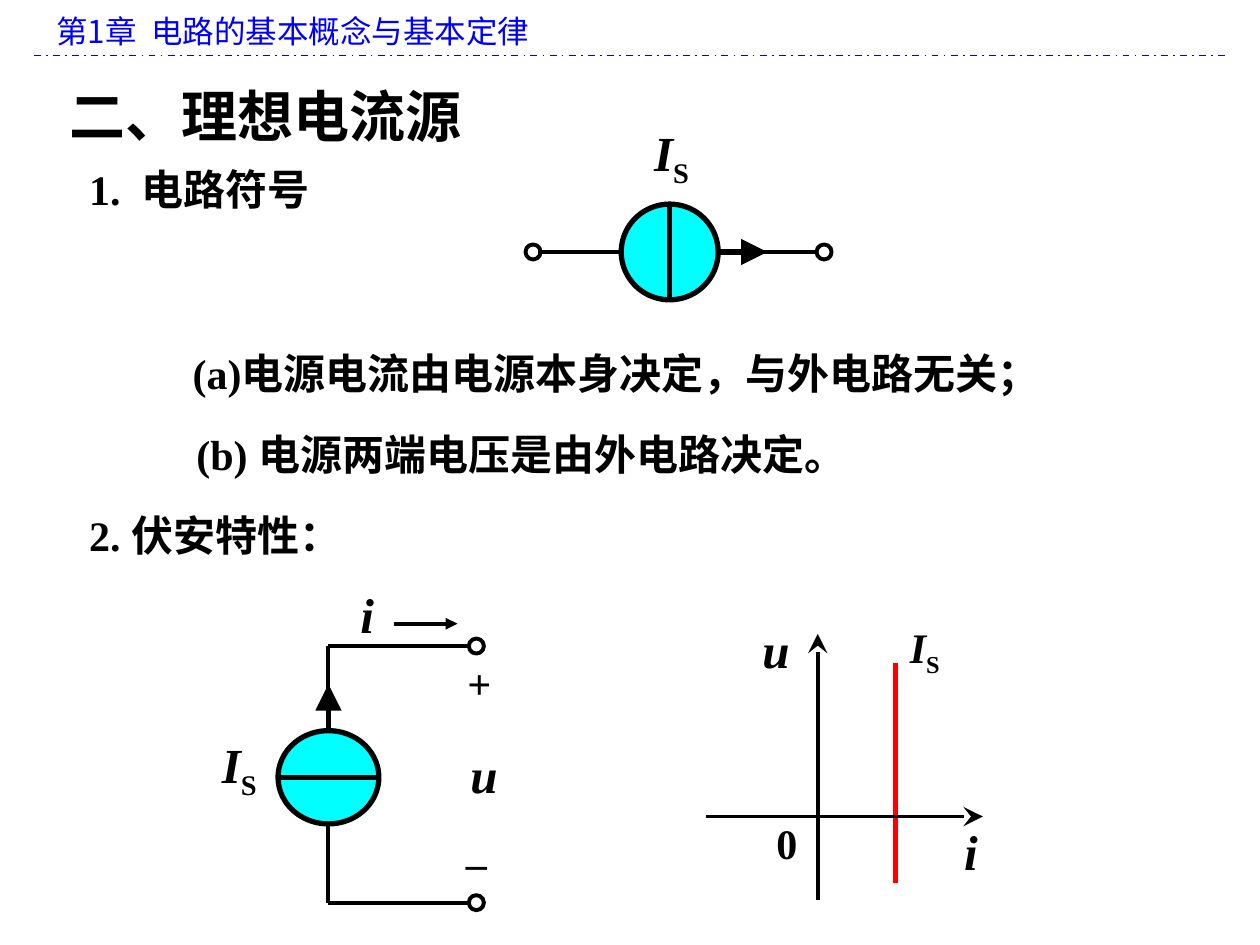
from dataclasses import dataclass

from lxml import etree
from pptx import Presentation, util as u
from pptx.dml.color import RGBColor
from pptx.enum import dml, shapes, text
from pptx.oxml.ns import qn


@dataclass(frozen=True)
class Theme:
    """Colours, fonts and type sizes of the slide."""
    ink: str = "000000"
    blue: str = "0000FF"
    red: str = "FF0000"
    cyan: str = "00FFFF"
    serif: str = "Times New Roman"
    sans: str = "Noto Sans CJK SC"
    header: int = 18
    body: int = 24
    symbol: int = 28
    title: int = 32
    thin: float = 2.25
    thick: float = 3


T = Theme()


@dataclass
class Label:
    """A text box; sub is a subscript that follows the words."""
    words: str
    box: tuple
    size: int = T.body
    sub: str = ""
    italic: bool = False
    bold: bool = True
    wrap: bool = False
    align: text.PP_ALIGN = text.PP_ALIGN.CENTER
    anchor: text.MSO_ANCHOR = text.MSO_ANCHOR.MIDDLE
    color: str = T.ink
    font: str = T.serif
    rotation: int = 0


@dataclass
class Wire:
    """A straight line; arrow is (type, size) at its end."""
    start: tuple
    end: tuple
    width: float = T.thin
    color: str = T.ink
    arrow: tuple = ()
    dash: dml.MSO_LINE = None


@dataclass
class Circle:
    """An ellipse given by its centre and size."""
    center: tuple
    size: tuple = (8.6, 8.6)
    width: float = T.thin
    fill: str = ""


def set_attrs(obj, **values) -> None:
    """Set each value as an attribute of the object."""
    for name, value in values.items():
        setattr(obj, name, value)


def add_run(p, words: str, label: Label, **more) -> None:
    """Add a run in the label's format."""
    r = p.add_run()
    r.text = words
    fmt = dict(name=label.font, size=u.Pt(label.size), bold=label.bold,
               italic=label.italic)
    set_attrs(r.font, **{**fmt, **more})
    r.font.color.rgb = RGBColor.from_string(label.color)
    etree.SubElement(r.font._element, qn("a:ea"), typeface=T.sans)


def write_label(sp, label: Label) -> None:
    """Place a text shape and fill it with the label."""
    left, top, width, height = map(u.Pt, label.box)
    set_attrs(sp, left=left, top=top, width=width, height=height,
              rotation=label.rotation)
    tf = sp.text_frame
    set_attrs(tf, word_wrap=label.wrap, vertical_anchor=label.anchor,
              auto_size=text.MSO_AUTO_SIZE.SHAPE_TO_FIT_TEXT)
    p = tf.paragraphs[0]
    set_attrs(p, alignment=label.align, line_spacing=1.0, space_before=u.Pt(0))
    add_run(p, label.words, label)
    if label.sub:
        add_run(p, label.sub, label, italic=False)
        p.runs[-1].font._element.set("baseline", "-25000")


def draw_wire(tree, wire: Wire) -> None:
    """Draw a line with an optional arrowhead."""
    s = tree.add_connector(shapes.MSO_CONNECTOR.STRAIGHT,
                           *map(u.Pt, wire.start + wire.end))
    s.line.width = u.Pt(wire.width)
    s.line.color.rgb = RGBColor.from_string(wire.color)
    if wire.dash:
        s.line.dash_style = wire.dash
    if wire.arrow:
        kind, size = wire.arrow
        etree.SubElement(s.line._get_or_add_ln(), qn("a:tailEnd"),
                         type=kind, w=size, len=size)
    etree.SubElement(s._element.spPr, qn("a:effectLst"))


def draw_circle(tree, circle: Circle) -> None:
    """Draw a terminal or a source body."""
    (x, y), (w, h) = circle.center, circle.size
    sp = tree.add_shape(shapes.MSO_SHAPE.OVAL,
                        *map(u.Pt, (x - w / 2, y - h / 2, w, h)))
    sp.shadow.inherit = False
    sp.line.width = u.Pt(circle.width)
    sp.line.color.rgb = RGBColor.from_string(T.ink)
    if circle.fill:
        sp.fill.solid()
        sp.fill.fore_color.rgb = RGBColor.from_string(circle.fill)
    else:
        sp.fill.background()


def draw(tree, items: list) -> None:
    """Draw the items from back to front."""
    for item in items:
        if isinstance(item, Wire):
            draw_wire(tree, item)
        elif isinstance(item, Circle):
            draw_circle(tree, item)
        else:
            write_label(tree.add_textbox(0, 0, 0, 0), item)


LEFT = dict(align=text.PP_ALIGN.LEFT, wrap=True)
TOP = dict(anchor=text.MSO_ANCHOR.TOP, **LEFT)
SYMBOL = dict(size=T.symbol, italic=True)
BIG, SMALL, STEALTH = ("triangle", "lg"), ("triangle", "med"), ("stealth", "lg")

TITLE = Label("二、理想电流源", (32.4, 43.2, 655.2, 45.4), T.title, **TOP)
PAGE = [
    Label("第1章  电路的基本概念与基本定律", (25.2, 3.6, 674.6, 28.8), T.header,
          bold=False, color=T.blue, font=T.sans, **TOP),
    Wire((19.4, 31.7), (699.8, 31.7), 1, T.blue, dash=dml.MSO_LINE.DASH_DOT),
    Label("1.  电路符号", (43.9, 90, 258.5, 36), **LEFT),
    Label("(a)电源电流由电源本身决定，与外电路无关；", (103, 195.1, 579.6, 36), **LEFT),
    Label("(b) 电源两端电压是由外电路决定。", (105.1, 241.2, 575.3, 36), **LEFT),
    Label("2. 伏安特性：", (43.9, 287.3, 321.8, 36), **LEFT),
]

MID = 144
SOURCE_SYMBOL = [
    Label("I", (349.2, 68.4, 69.1, 41), sub="S", **SYMBOL),
    Wire((466.6, MID), (307.4, MID)),
    *(Circle((x, MID)) for x in (304.6, 470.9)),
    Wire((410.4, MID), (438.5, MID), T.thick, arrow=BIG),
    Circle((382.7, MID), (55.4, 54.7), T.thick, T.cyan),
    Wire((382.5, 171.4), (382.5, 116.6), T.thick),
]

AXIS_X, AXIS_Y, CURRENT_X = 467.3, 466.6, 511.9
PLOT = [
    Wire((CURRENT_X, 504.7), (CURRENT_X, 378.7), T.thick, T.red),
    Label("I", (511.9, 353.5, 33.1, 36), sub="S", italic=True),
    Wire((403.2, AXIS_Y), (561.6, AXIS_Y), arrow=STEALTH),
    Wire((AXIS_X, 514.1), (AXIS_X, 362.2), arrow=STEALTH),
    Label("u", (428.4, 350.6, 30.2, 41), **SYMBOL),
    Label("i", (543.6, 465.8, 22.3, 41), **SYMBOL),
    Label("0", (436.3, 463.7, 26.6, 36)),
]

STEM, UPPER, LOWER, CORE = 187.7, 369.2, 515.8, 444.2
CIRCUIT = [
    Label("I", (118.8, 418.3, 36, 41), sub="S", **SYMBOL),
    Wire((225.4, 356.4), (261.4, 356.4), arrow=SMALL),
    Wire((STEM, LOWER), (STEM, UPPER)),
    *(Wire((267.8, y), (STEM, y)) for y in (UPPER, LOWER)),
    *(Circle((272.2, y)) for y in (UPPER, LOWER)),
    Label("i", (198.7, 330.5, 22.3, 41), **SYMBOL),
    Label("u", (261.4, 421.9, 30.2, 41), **SYMBOL),
    Label("+", (259.9, 375.1, 28.1, 36), rotation=180),
    Label("_", (259.2, 466.6, 24.5, 36), wrap=True),
    Wire((STEM, 417.6), (STEM, 391), T.thick, arrow=BIG),
    Circle((STEM, CORE), (57.6, 53.3), T.thick, T.cyan),
    Wire((216, CORE), (159.1, CORE), T.thick),
]


def main() -> None:
    """Build and save the slide."""
    prs = Presentation()
    set_attrs(prs, slide_width=u.Pt(720), slide_height=u.Pt(540))
    s = prs.slides.add_slide(prs.slide_layouts[5])
    write_label(s.shapes.title, TITLE)
    draw(s.shapes, PAGE)
    for figure in (SOURCE_SYMBOL, PLOT, CIRCUIT):
        draw(s.shapes.add_group_shape().shapes, figure)
    prs.save("out.pptx")


main()
